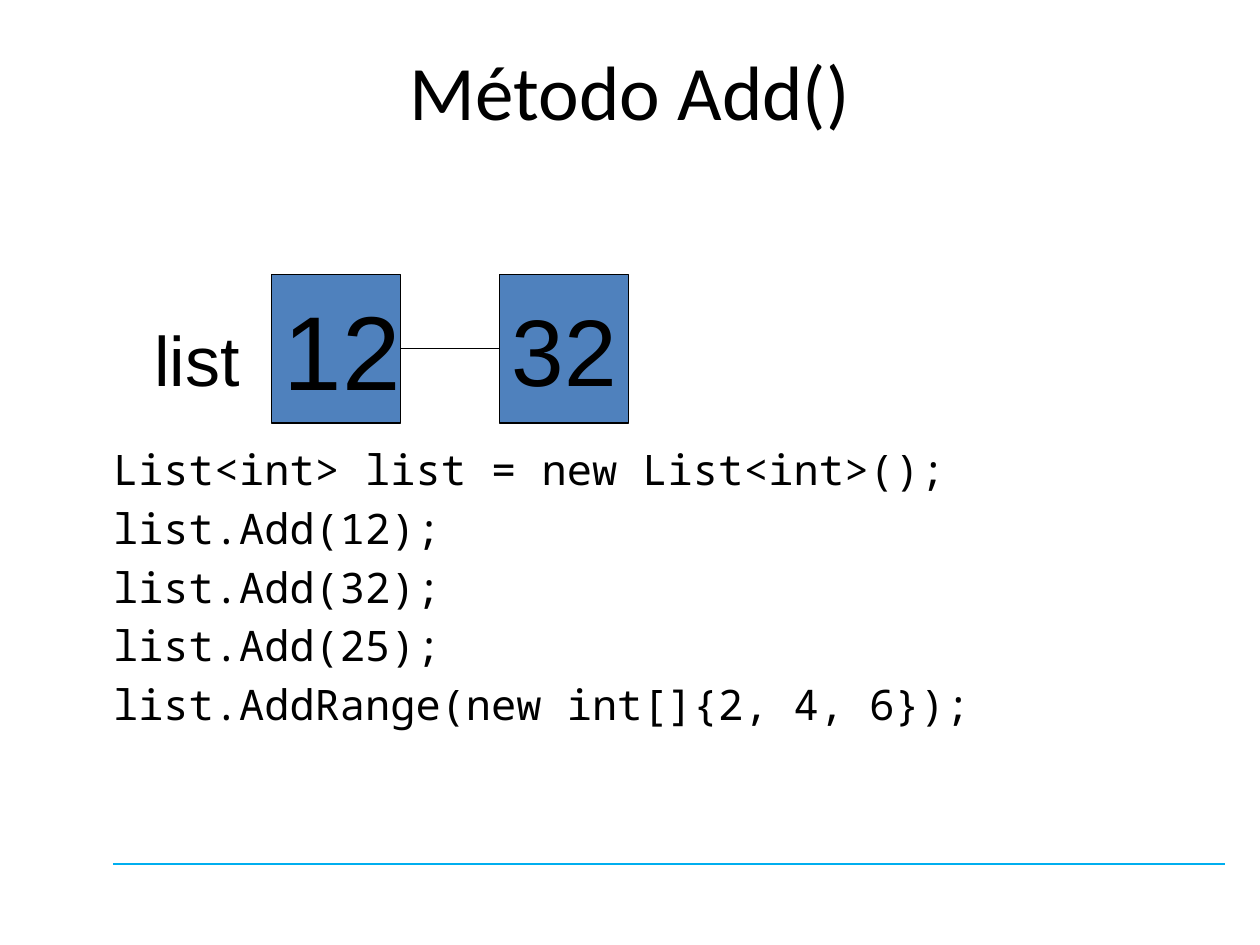
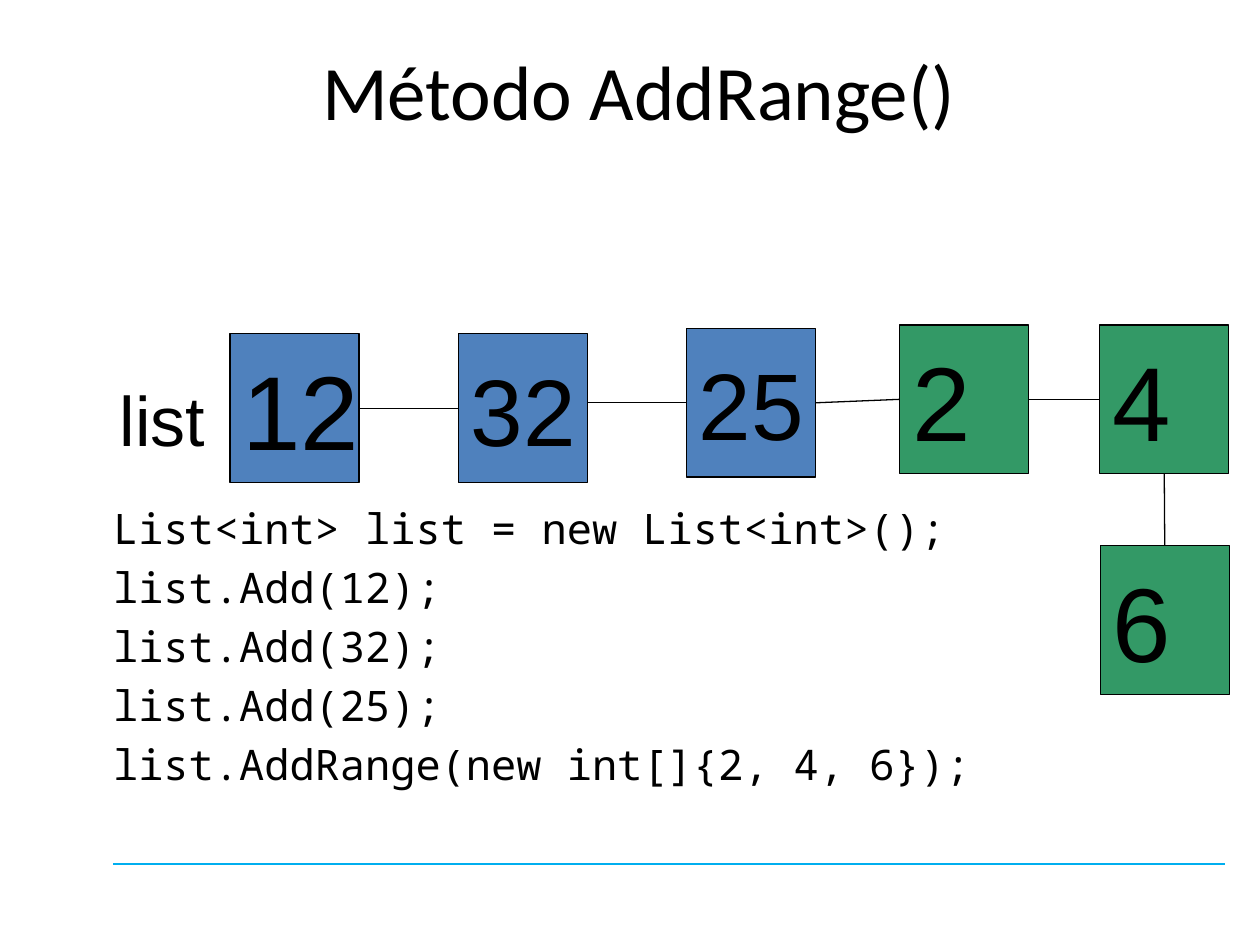
from pptx import Presentation
from pptx import util as u
from pptx.dml.color import RGBColor
from pptx.enum import shapes, text
from pptx.oxml.ns import qn
from lxml import etree

Cm, Pt = u.Cm, u.Pt

BLACK = RGBColor(0, 0, 0)
BLUE = RGBColor(0x4F, 0x81, 0xBD)
GREEN = RGBColor(0x33, 0x99, 0x66)
CYAN = RGBColor(0x00, 0xAE, 0xEF)

NODE_W, NODE_H, NODE_PITCH = 2.6, 3.0, 4.6
TOP, LEFT, BOTTOM, RIGHT = range(4)

CODE = [
    "List<int> list = new List<int>();",
    "list.Add(12);",
    "list.Add(32);",
    "list.Add(25);",
    "list.AddRange(new int[]{2, 4, 6});",
]


def set_font(paragraph, name, size):
    paragraph.font.name = name
    paragraph.font.size = Pt(size)
    paragraph.font.color.rgb = BLACK


def add_line(slide, x1, y1, x2, y2, color=BLACK):
    line = slide.shapes.add_connector(
        shapes.MSO_CONNECTOR.STRAIGHT, Cm(x1), Cm(y1), Cm(x2), Cm(y2))
    line.line.color.rgb = color
    line.line.width = Pt(0.75)
    etree.SubElement(line.element.spPr, qn("a:effectLst"))
    return line


def add_footer_rule(layout, slide):
    """Draw the footer rule once and move it to the shared layout."""
    rule = add_line(slide, 2.28, 17.42, 24.7, 17.42, CYAN)
    rule.element.nvCxnSpPr.cNvPr.id = 20
    layout.shapes.element.append(rule.element)


def set_title(slide, wording, shift=0):
    title = slide.shapes.title
    title.left, title.top = Cm(1.27 + shift), Cm(0.76)
    title.width, title.height = Cm(22.86), Cm(3.18)
    frame = title.text_frame
    frame.text = wording
    frame.vertical_anchor = text.MSO_ANCHOR.TOP
    frame.paragraphs[0].alignment = text.PP_ALIGN.CENTER
    set_font(frame.paragraphs[0], "Calibri", 44)


def add_node(slide, value, left, top, fill=BLUE, size=60):
    node = slide.shapes.add_shape(
        shapes.MSO_SHAPE.RECTANGLE, Cm(left), Cm(top), Cm(NODE_W), Cm(NODE_H))
    node.shadow.inherit = False
    node.fill.solid()
    node.fill.fore_color.rgb = fill
    node.line.color.rgb = BLACK
    node.line.width = Pt(0.75)
    frame = node.text_frame
    frame.word_wrap = False
    frame.vertical_anchor = text.MSO_ANCHOR.MIDDLE
    frame.text = str(value)
    frame.paragraphs[0].alignment = text.PP_ALIGN.LEFT
    set_font(frame.paragraphs[0], "Arial", size)
    return node


def link(slide, start, end, start_side=RIGHT, end_side=LEFT):
    line = add_line(slide, 0, 0, 0, 0)
    line.begin_connect(start, start_side)
    line.end_connect(end, end_side)


def add_list_label(slide, left, top):
    label = slide.shapes.add_textbox(Cm(left), Cm(top), Cm(3.81), Cm(1.96))
    frame = label.text_frame
    frame.word_wrap = True
    frame.margin_top = Cm(0.28)
    frame.text = "list"
    frame.paragraphs[0].alignment = text.PP_ALIGN.RIGHT
    set_font(frame.paragraphs[0], "Arial", 40)


def add_code(slide, top):
    box = slide.shapes.add_textbox(Cm(2.03), Cm(top), Cm(22.86), Cm(7.11))
    frame = box.text_frame
    frame.word_wrap = True
    frame.text = "\n".join(CODE)
    for number, paragraph in enumerate(frame.paragraphs):
        properties = paragraph._p.get_or_add_pPr()
        properties.set("marL", str(Cm(0.95)))
        properties.set("indent", str(-Cm(0.95)))
        paragraph.line_spacing = Pt(31.2)
        if number:
            paragraph.space_before = Pt(2.4)
        set_font(paragraph, "Noto Sans Mono", 24)


def add_list_start(slide, left, top, label_left):
    """Add the label, the first two linked nodes and the code below them."""
    add_list_label(slide, label_left, top + 0.58)
    first = add_node(slide, 12, left, top)
    second = add_node(slide, 32, left + NODE_PITCH, top, size=54)
    link(slide, first, second)
    add_code(slide, top + 3.2)
    return second


def build_add(slide):
    set_title(slide, "Método Add()")
    add_list_start(slide, 5.47, 5.53, label_left=1.27)


def build_add_range(slide):
    set_title(slide, "Método AddRange()", shift=0.18)
    left, top = 4.64, 6.73
    second = add_list_start(slide, left, top, label_left=0.58)
    third = add_node(slide, 25, left + 2 * NODE_PITCH, 6.62, size=54)

    # Nodes added by AddRange, the last one below the row
    two = add_node(slide, 2, 18.14, 6.55, GREEN)
    four = add_node(slide, 4, 22.17, 6.55, GREEN)
    six = add_node(slide, 6, 22.18, 11, GREEN)

    # The second link runs level, at the height of the third node
    middle = 6.62 + NODE_H / 2
    level = add_line(slide, left + NODE_PITCH + NODE_W, middle, 0, 0)
    level.end_connect(third, LEFT)
    link(slide, third, two)
    link(slide, two, four)
    link(slide, four, six, BOTTOM, TOP)


def main():
    deck = Presentation()
    deck.slide_width, deck.slide_height = Cm(25.4), Cm(19.05)
    layout = deck.slide_layouts[5]
    add_slide, range_slide = (deck.slides.add_slide(layout) for _ in range(2))
    add_footer_rule(layout, add_slide)
    build_add(add_slide)
    build_add_range(range_slide)
    deck.save("out.pptx")


if __name__ == "__main__":
    main()
